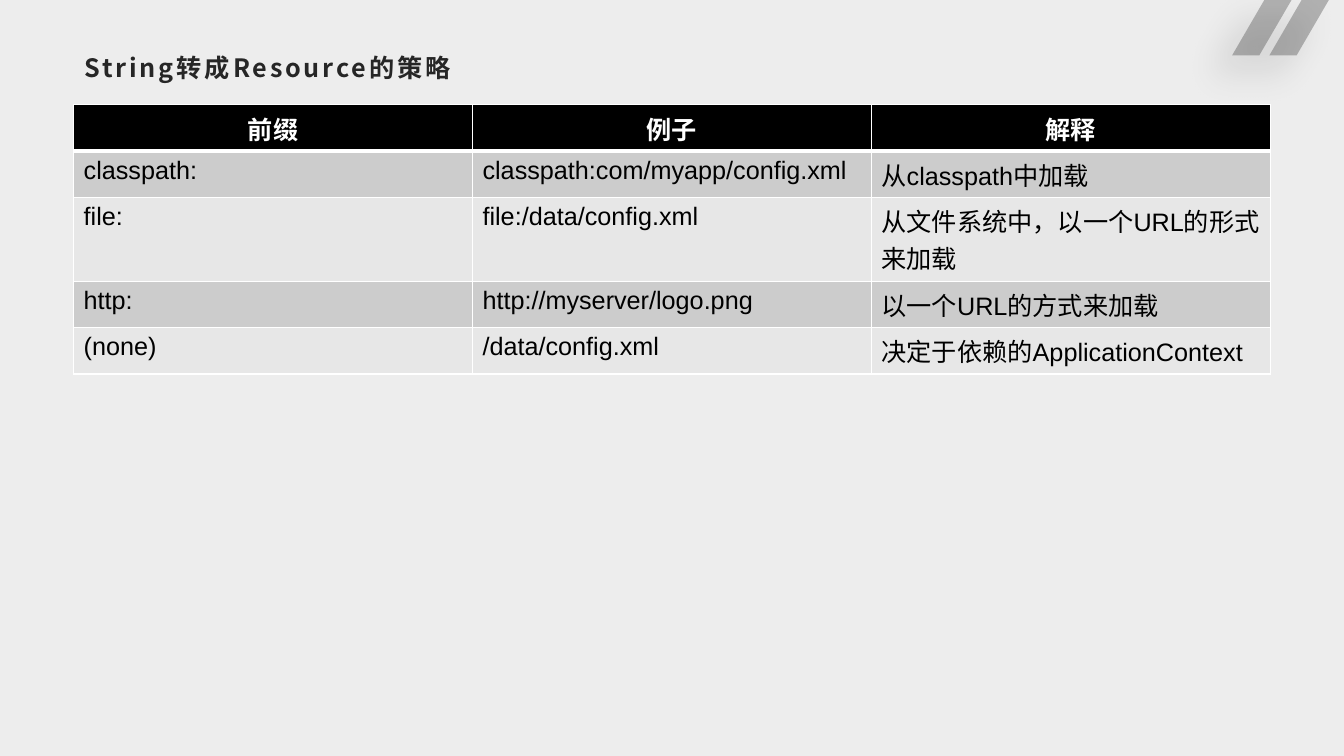
import pptx
import pptx.util
import pptx.dml.color
import pptx.enum.text
import pptx.oxml
import pptx.oxml.ns
from lxml import etree
from pptx.util import Inches

THEME = {
    "background": "EDEDED",
    "dark": "262626",
    "header": "000000",
    "bands": ["CCCCCC", "E7E7E7"],
    "border": "FFFFFF",
    "header_text": "FFFFFF",
    "body_text": "000000",
    "size": 18,
    "latin": "Arial",
    "chinese": "Noto Sans CJK SC",
}
RGB = pptx.dml.color.RGBColor.from_string
ALIGN = pptx.enum.text.PP_ALIGN
ANCHOR = pptx.enum.text.MSO_ANCHOR
qn = pptx.oxml.ns.qn
NS = pptx.oxml.ns.nsdecls("a")


def write(frame, text, color, font=THEME["latin"], bold=False, align=ALIGN.LEFT,
          spacing=None):
    paragraph = frame.paragraphs[0]
    paragraph.alignment = align
    run = paragraph.add_run()
    run.text = text
    run.font.name = font
    run.font.size = pptx.util.Pt(THEME["size"])
    run.font.bold = bold
    run.font.color.rgb = RGB(color)
    properties = run.font._element
    etree.SubElement(properties, qn("a:ea"), typeface=THEME["chinese"])
    if spacing:
        properties.set("spc", str(spacing * 100))


def add_border(cell, side, width):
    cell._tc.get_or_add_tcPr().append(pptx.oxml.parse_xml(
        f'<a:ln{side} {NS} w="{pptx.util.Pt(width)}"><a:solidFill>'
        f'<a:srgbClr val="{THEME["border"]}"/></a:solidFill></a:ln{side}>'))


deck = pptx.Presentation()
deck.slide_width = Inches(13.33)
deck.slide_height = Inches(7.5)
slide = deck.slides.add_slide(deck.slide_layouts[6])
slide.background.fill.solid()
slide.background.fill.fore_color.rgb = RGB(THEME["background"])

stripe = [(12.91, 0), (13.18, 0), (12.86, 0.55), (12.59, 0.55)]
outline = slide.shapes.build_freeform(Inches(stripe[0][0]), 0)
for shift in (0, 0.37):
    corners = [(Inches(x - shift), Inches(y)) for x, y in stripe]
    if shift:
        outline.move_to(*corners[0])
    outline.add_line_segments(corners[1:], close=True)
stripes = outline.convert_to_shape()
stripes.fill.solid()
stripes.fill.fore_color.rgb = RGB(THEME["dark"])
stripes.line.fill.background()
stripe_color = stripes._element.spPr.find(qn("a:solidFill"))[0]
etree.SubElement(stripe_color, qn("a:alpha"), val="30000")
stripes._element.spPr.append(pptx.oxml.parse_xml(
    f'<a:effectLst {NS}><a:outerShdw blurRad="{pptx.util.Pt(26)}" '
    f'dist="{pptx.util.Pt(19)}" dir="8100000" algn="tr" rotWithShape="0">'
    '<a:srgbClr val="000000"><a:alpha val="40000"/></a:srgbClr>'
    '</a:outerShdw></a:effectLst>'))

title = slide.shapes.add_textbox(Inches(0.73), Inches(0.48), Inches(11.87), Inches(0.48))
title.text_frame.word_wrap = True
title.text_frame.margin_left = Inches(0.11)
title.text_frame.margin_right = Inches(0.08)
title.text_frame.margin_top = title.text_frame.margin_bottom = Inches(0.04)
write(title.text_frame, "String转成Resource的策略", THEME["dark"],
      font=THEME["chinese"], bold=True, spacing=2)

strategies = [
    ("前缀", "例子", "解释"),
    ("classpath:", "classpath:com/myapp/config.xml", "从classpath中加载"),
    ("file:", "file:/data/config.xml", "从文件系统中，以一个URL的形式来加载"),
    ("http:", "http://myserver/logo.png", "以一个URL的方式来加载"),
    ("(none)", "/data/config.xml", "决定于依赖的ApplicationContext"),
]
row_heights = [0.46, 0.46, 0.83, 0.46, 0.46]
table = slide.shapes.add_table(len(strategies), 3, Inches(0.73), Inches(1.04),
                               Inches(11.87), Inches(sum(row_heights))).table
for row_index, (entries, height) in enumerate(zip(strategies, row_heights)):
    table.rows[row_index].height = Inches(height)
    is_header = row_index == 0
    for column_index, entry in enumerate(entries):
        cell = table.cell(row_index, column_index)
        for side in "LRTB":
            thick = (is_header and side == "B") or (row_index == 1 and side == "T")
            add_border(cell, side, 3 if thick else 1)
        cell.fill.solid()
        if is_header:
            cell.fill.fore_color.rgb = RGB(THEME["header"])
            cell.vertical_anchor = ANCHOR.MIDDLE
            write(cell.text_frame, entry, THEME["header_text"], bold=True,
                  align=ALIGN.CENTER)
        else:
            cell.fill.fore_color.rgb = RGB(THEME["bands"][(row_index - 1) % 2])
            write(cell.text_frame, entry, THEME["body_text"])

deck.save("out.pptx")
